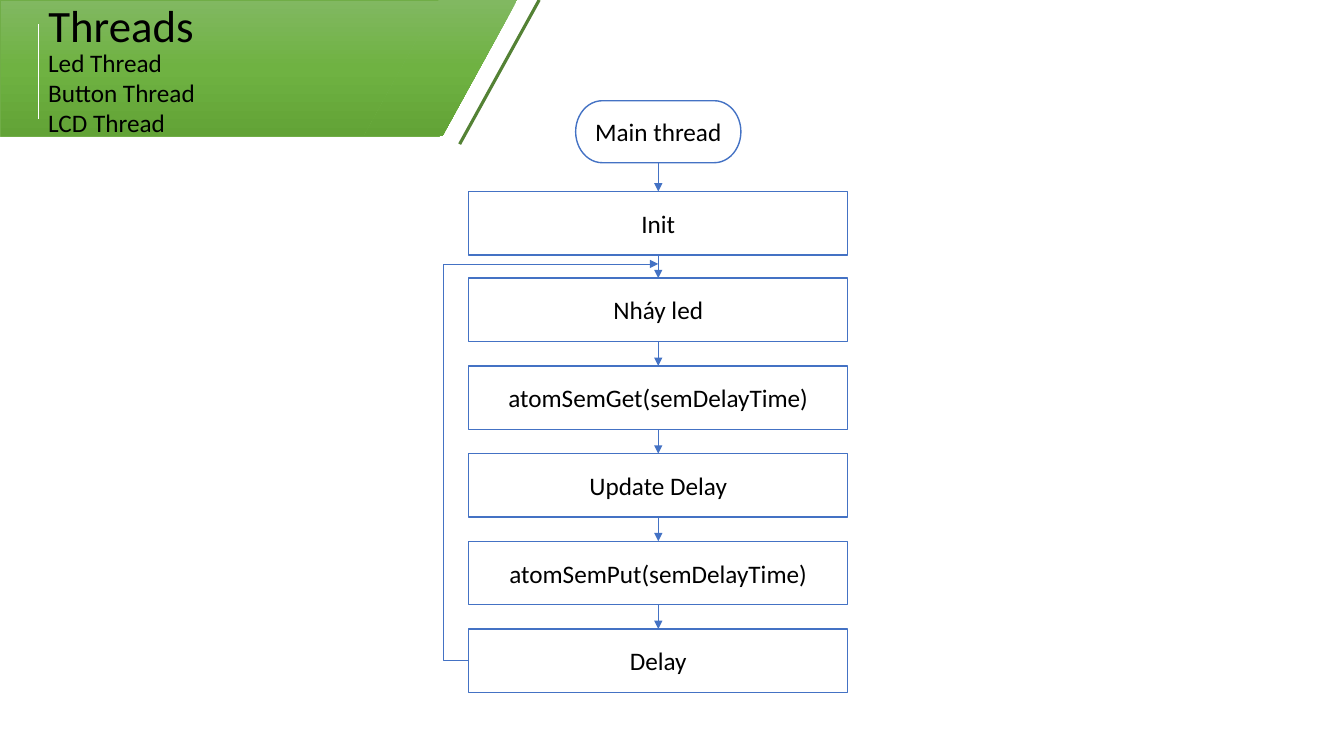
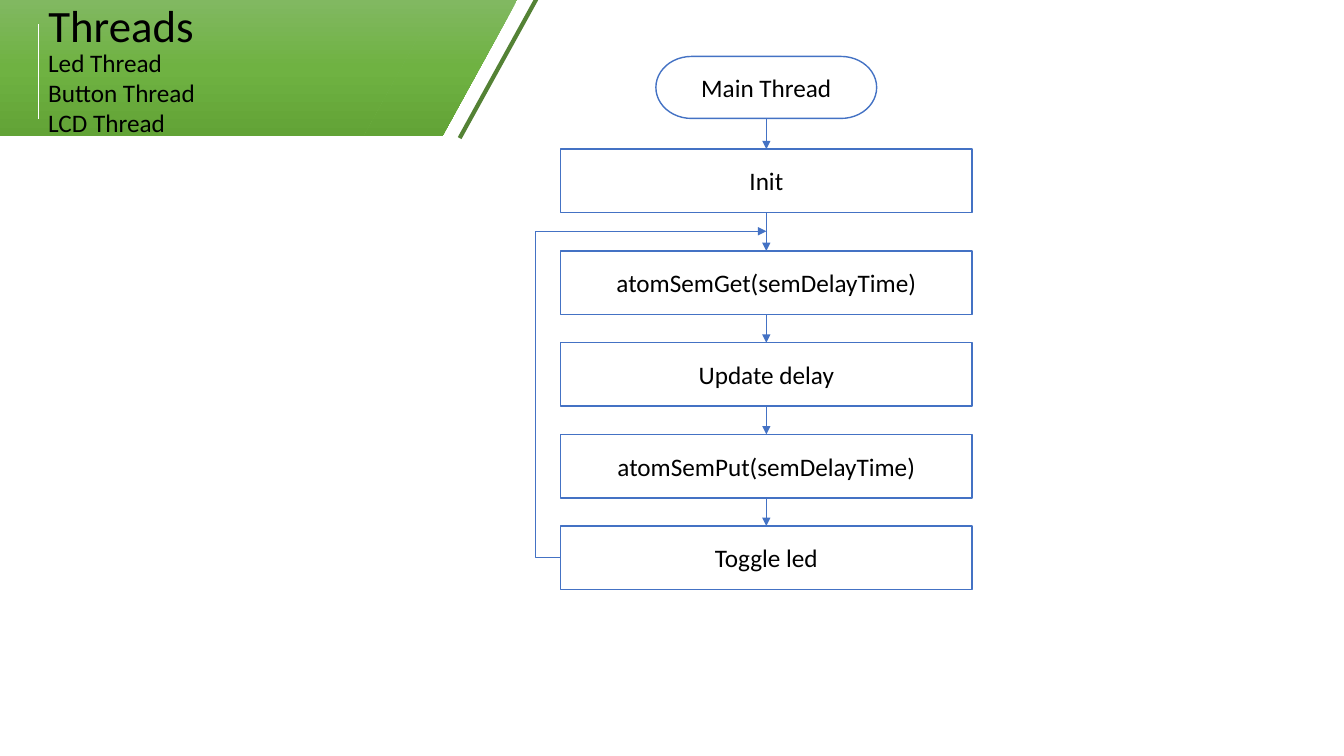
import copy
import dataclasses

import pptx
import pptx.dml.color
import pptx.enum.shapes
import pptx.enum.text
import pptx.oxml
import pptx.oxml.ns
import pptx.util

SHAPE = pptx.enum.shapes.MSO_SHAPE
LINK = pptx.enum.shapes.MSO_CONNECTOR
ALIGN = pptx.enum.text.PP_ALIGN
ANCHOR = pptx.enum.text.MSO_ANCHOR
WIDE, HIGH = pptx.util.Inches(13.333), pptx.util.Inches(7.5)
TOP, LEFT, BOTTOM = 0, 1, 2


@dataclasses.dataclass(frozen=True)
class Theme:
    font: str = "Calibri"
    ink: str = "000000"
    paper: str = "FFFFFF"
    blue: str = "4472C4"
    edge: str = "70AD47"
    stripe: str = "548235"
    fade: tuple = ((0, "81B861"), (0.5, "6FB242"), (1, "62A336"))
    head: int = 32
    body: int = 18
    thin: float = 0.5
    rim: float = 1


@dataclasses.dataclass(frozen=True)
class Flow:
    """Steps below a cap; lengths are percent of the slide."""
    cap: str
    steps: tuple
    mid: float
    wide: float
    cap_wide: float
    cap_top: float
    first: float   # top of the step that runs once
    again: float   # top of the first step in the loop
    pitch: float
    join: float    # height at which the loop comes back
    high: float = 8.4
    cap_high: float = 8.2
    out: float = 1.88


THEME = Theme()


def across(share):
    return round(WIDE * share / 100)


def down(share):
    return round(HIGH * share / 100)


def frame(left, top, wide, high):
    return across(left), down(top), across(wide), down(high)


def tint(code):
    return pptx.dml.color.RGBColor.from_string(code)


def write(text, words, size, align=ALIGN.LEFT, anchor=ANCHOR.TOP):
    text.text = words
    text.word_wrap = True
    text.auto_size = pptx.enum.text.MSO_AUTO_SIZE.NONE
    text.vertical_anchor = anchor
    for para in text.paragraphs:
        para.alignment = align
        for run in para.runs:
            run.font.name = THEME.font
            run.font.size = pptx.util.Pt(size)
            run.font.color.rgb = tint(THEME.ink)


def line(slide, start, end, color, width, kind=LINK.STRAIGHT):
    link = slide.shapes.add_connector(
        kind, across(start[0]), down(start[1]), across(end[0]), down(end[1]))
    link.line.color.rgb = tint(color)
    link.line.width = pptx.util.Pt(width)
    pptx.oxml.ns.qn("a:effectLst")
    link.element.spPr.append(
        link.element.makeelement(pptx.oxml.ns.qn("a:effectLst"), {}))
    return link


def arrow(slide, start, end, kind=LINK.STRAIGHT):
    link = line(slide, start, end, THEME.blue, THEME.thin, kind)
    stroke = link.line._get_or_add_ln()
    stroke.append(stroke.makeelement(
        pptx.oxml.ns.qn("a:tailEnd"), {"type": "triangle"}))
    return link


def box(slide, kind, words, place):
    shape = slide.shapes.add_shape(kind, *frame(*place))
    shape.shadow.inherit = False
    shape.fill.solid()
    shape.fill.fore_color.rgb = tint(THEME.paper)
    shape.line.color.rgb = tint(THEME.blue)
    shape.line.width = pptx.util.Pt(THEME.rim)
    write(shape.text_frame, words, THEME.body, ALIGN.CENTER, ANCHOR.MIDDLE)
    return shape


def band(slide, kind, place):
    """Add a shape that fades from light to dark green."""
    shape = slide.shapes.add_shape(kind, *frame(*place))
    shape.shadow.inherit = False
    shape.line.fill.background()
    shape.fill.gradient()
    shape.fill.gradient_angle = 270
    stops = shape.element.spPr.find(".//" + pptx.oxml.ns.qn("a:gsLst"))
    stops.append(copy.deepcopy(stops[0]))
    for stop, (spot, color) in zip(shape.fill.gradient_stops, THEME.fade):
        stop.position = spot
        stop.color.rgb = tint(color)
    return shape


def header(slide, rise, width, edged):
    """Draw the green corner; rise lifts its stripe."""
    block = band(slide, SHAPE.RECTANGLE, (0, 0, 32.7, 18))
    if edged:
        block.line.color.rgb = tint(THEME.edge)
        block.line.width = pptx.util.Pt(THEME.thin)
    line(slide, (34.2, 19.07 - rise), (40.12, -rise), THEME.stripe, width)
    slant = band(slide, SHAPE.PARALLELOGRAM, (27.08, 0, 11.4, 18))
    slant.adjustments[0] = 0.55
    line(slide, (2.85, 3.2), (2.85, 15.73), THEME.paper, THEME.thin)

    title = slide.shapes.title
    title.left, title.top, title.width, title.height = frame(
        2.85, -0.93, 13.65, 8.53)
    write(title.text_frame, "Threads", THEME.head)
    title.element.getparent().append(title.element)  # in front of the band
    names = slide.shapes.add_textbox(*frame(2.85, 5.6, 18.82, 13.47))
    write(names.text_frame, "Led Thread\nButton Thread\nLCD Thread", THEME.body)


def chart(slide, flow):
    """Draw the cap, the steps, their arrows and the way back."""
    left = flow.mid - flow.wide / 2
    tops = [flow.first] + [flow.again + flow.pitch * i
                           for i in range(len(flow.steps) - 1)]
    nodes = [box(slide, SHAPE.FLOWCHART_TERMINATOR, flow.cap,
                 (flow.mid - flow.cap_wide / 2, flow.cap_top,
                  flow.cap_wide, flow.cap_high))]
    nodes += [box(slide, SHAPE.RECTANGLE, words,
                  (left, top, flow.wide, flow.high))
              for words, top in zip(flow.steps, tops)]
    for above, below in zip(nodes, nodes[1:]):
        link = arrow(slide, (flow.mid, 0), (flow.mid, 0))
        link.begin_connect(above, BOTTOM)
        link.end_connect(below, TOP)

    back = arrow(slide, (left, tops[-1] + flow.high / 2),
                 (flow.mid, flow.join), LINK.ELBOW)
    back.begin_connect(nodes[-1], LEFT)
    bend = round(-100000 * flow.out / (flow.wide / 2))
    guides = back.element.spPr.find(".//" + pptx.oxml.ns.qn("a:avLst"))
    guides.append(guides.makeelement(
        pptx.oxml.ns.qn("a:gd"), {"name": "adj1", "fmla": f"val {bend}"}))


def main():
    deck = pptx.Presentation()
    deck.slide_width, deck.slide_height = WIDE, HIGH
    get, put = "atomSemGet(semDelayTime)", "atomSemPut(semDelayTime)"
    blink = Flow("Main thread",
                 ("Init", "Nháy led", get, "Update Delay", put, "Delay"),
                 mid=48.98, wide=28.2, cap_wide=12.3, cap_top=13.33,
                 first=25.33, again=36.8, pitch=11.6, join=34.93)
    toggle = Flow("Main Thread",
                  ("Init", get, "Update delay", put, "Toggle led"),
                  mid=57.02, wide=30.6, cap_wide=16.43, cap_top=7.47,
                  first=19.73, again=33.2, pitch=12.13, join=30.6)
    for flow, rise, width, edged in ((blink, 0, 2.25, True),
                                     (toggle, 0.8, 3, False)):
        slide = deck.slides.add_slide(deck.slide_layouts[5])
        header(slide, rise, width, edged)
        chart(slide, flow)
    deck.save("out.pptx")


if __name__ == "__main__":
    main()
